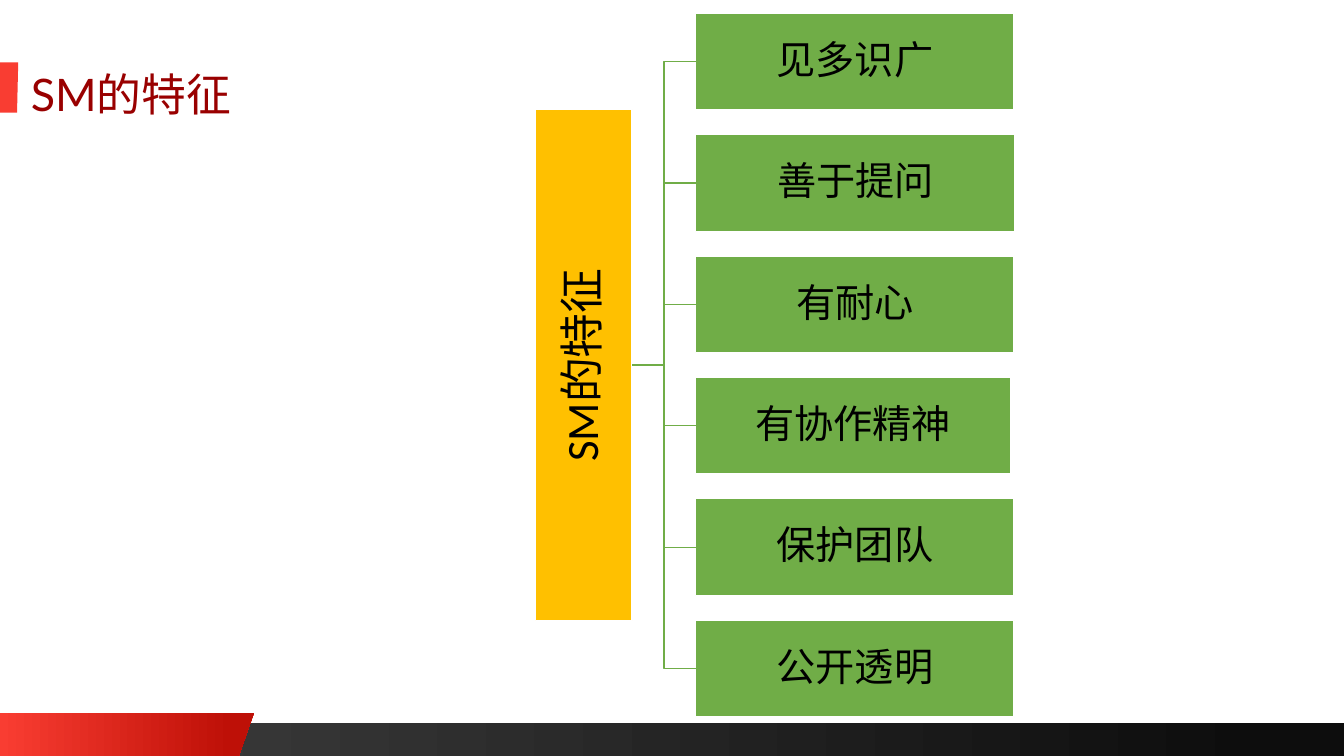
from lxml.etree import SubElement
from pptx import Presentation
from pptx.dml.color import RGBColor
from pptx.enum.shapes import MSO_CONNECTOR, MSO_SHAPE
from pptx.enum.text import MSO_ANCHOR, PP_ALIGN
from pptx.oxml.ns import qn
from pptx.util import Cm, Pt

RED, GREEN, YELLOW = "F93D32", "70AD47", "FFC000"
TRAITS = [("见多识广", 8.03), ("善于提问", 8.05), ("有耐心", 8.03),
          ("有协作精神", 7.95), ("保护团队", 8.03), ("公开透明", 8.03)]
TRAIT_LEFT, TRAIT_TOP, TRAIT_PITCH = 17.53, 0.33, 3.06
BOX_DEPTH = 2.44


def rgb(code):
    return RGBColor.from_string(code)


def set_format(target, values):
    for name, value in values.items():
        setattr(target, name, value)


def paint(shape, *stops):
    """Fill without outline: one colour, or two (position, colour) stops from left to right."""
    shape.shadow.inherit = False
    shape.line.fill.background()
    if len(stops) == 1:
        shape.fill.solid()
        shape.fill.fore_color.rgb = rgb(stops[0])
        return
    shape.fill.gradient()
    shape.fill.gradient_angle = 0
    for stop, (position, code) in zip(shape.fill.gradient_stops, stops):
        stop.position = position
        stop.color.rgb = rgb(code)


def write(shape, text, size, font, color, frame_format, paragraph_format):
    set_format(shape.text_frame, frame_format)
    paragraph = shape.text_frame.paragraphs[0]
    set_format(paragraph, paragraph_format)
    run = paragraph.add_run()
    run.text = text
    set_format(run.font, {"size": Pt(size), "name": font})
    run.font.color.rgb = rgb(color)


def add_rect(slide, left, top, width, height):
    return slide.shapes.add_shape(
        MSO_SHAPE.RECTANGLE, Cm(left), Cm(top), Cm(width), Cm(height))


def add_outline(slide, points):
    start, *rest = [(Cm(x), Cm(y)) for x, y in points]
    builder = slide.shapes.build_freeform(*start)
    builder.add_line_segments(rest, close=True)
    return builder.convert_to_shape()


def add_box(slide, left, top, width, height, text, size, color):
    box = add_rect(slide, left, top, width, height)
    paint(box, color)
    box.line.color.rgb = rgb("FFFFFF")
    box.line.width = Pt(1)
    margins = {f"margin_{side}": Cm(0.05) for side in ("left", "top", "right", "bottom")}
    write(box, text, size, "Calibri", "000000",
          {"word_wrap": True, "vertical_anchor": MSO_ANCHOR.MIDDLE, **margins},
          {"alignment": PP_ALIGN.CENTER, "line_spacing": 0.9})
    return box


def add_branch(slide, root, trait):
    branch = slide.shapes.add_connector(MSO_CONNECTOR.ELBOW, 0, 0, 0, 0)
    branch.begin_connect(root, 3)
    branch.end_connect(trait, 1)
    branch.line.color.rgb = rgb(GREEN)
    branch.line.width = Pt(1)
    SubElement(branch.element.spPr, qn("a:effectLst"))


def add_frame(slide):
    paint(add_rect(slide, 0, 18.21, 33.87, 0.84), (0, "404040"), (0.94, "0D0D0D"))
    footer_flag = add_outline(slide, [(0, 17.96), (6.4, 17.96), (6.02, 19.05), (0, 19.05)])
    paint(footer_flag, (0, RED), (0.91, "BE1007"))
    title_marker = add_outline(slide, [(0, 1.57), (0.46, 1.57), (0.43, 2.84), (0, 2.84)])
    paint(title_marker, RED)


def add_title(slide, text):
    title = slide.shapes.add_textbox(Cm(0.53), Cm(1.42), Cm(22.81), Cm(1.73))
    write(title, text, 32, "Lato", "990000", {"word_wrap": True}, {"line_spacing": 1.1})


def add_trait_tree(slide, root_text):
    root = add_box(slide, 13.49, 2.76, BOX_DEPTH, 12.88, root_text, 32, YELLOW)
    root.text_frame._txBody.bodyPr.set("vert", "vert270")
    for row, (text, width) in enumerate(TRAITS):
        trait = add_box(slide, TRAIT_LEFT, TRAIT_TOP + row * TRAIT_PITCH,
                        width, BOX_DEPTH, text, 28, GREEN)
        add_branch(slide, root, trait)


def main():
    deck = Presentation()
    set_format(deck, {"slide_width": Cm(33.87), "slide_height": Cm(19.05)})
    slide = deck.slides.add_slide(deck.slide_layouts[6])
    add_frame(slide)
    add_title(slide, "SM的特征")
    add_trait_tree(slide, "SM的特征")
    deck.save("out.pptx")


if __name__ == "__main__":
    main()
